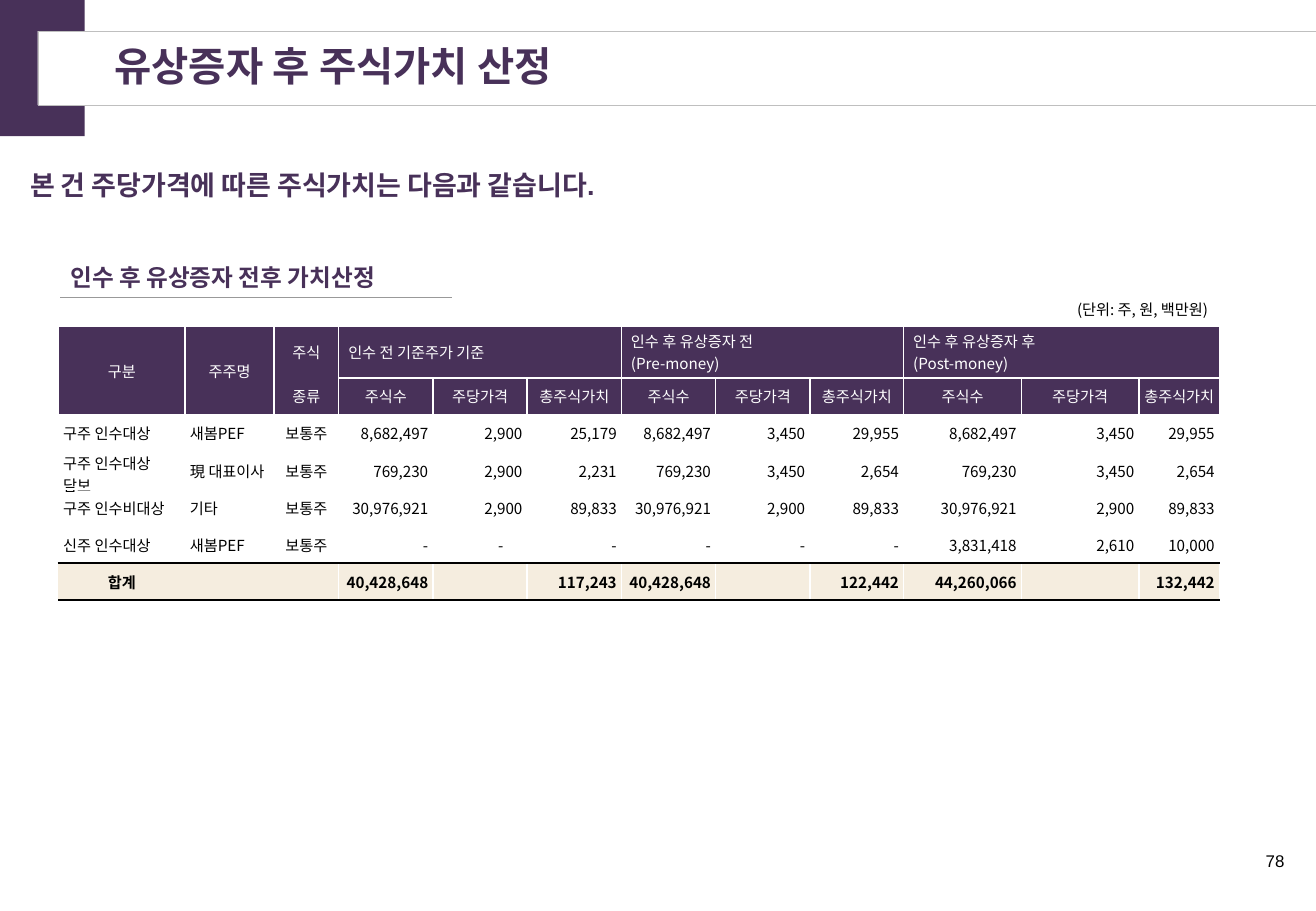
from lxml.etree import SubElement
from pptx import Presentation
from pptx.dml.color import RGBColor
from pptx.enum.shapes import MSO_CONNECTOR, MSO_SHAPE
from pptx.enum.text import MSO_ANCHOR, PP_ALIGN
from pptx.oxml.ns import qn
from pptx.util import Cm, Pt

COLORS = {"purple": "483159", "white": "FFFFFF", "black": "000000",
          "cream": "F5EDDF", "frame": "BFBFBF", "rule": "999999"}
KOREAN = "Noto Sans CJK KR"


def write(frame, text, size, color, name=KOREAN, bold=False, align=PP_ALIGN.LEFT,
          anchor=MSO_ANCHOR.MIDDLE):
    """Fill a text frame, one paragraph per line, in a single style."""
    frame.word_wrap = True
    frame.vertical_anchor = anchor
    frame.text = text
    for para in frame.paragraphs:
        para.alignment = align
        para.font.size, para.font.bold, para.font.name = Pt(size), bold, name
        para.font.color.rgb = RGBColor.from_string(COLORS[color])
        style = para._p.pPr.find(qn("a:defRPr"))
        SubElement(style, qn("a:ea"), typeface=KOREAN)
        if not text:
            SubElement(para._p, qn("a:endParaRPr"), sz=str(size * 100))


def add_border(cell, side, color):
    """Draw one cell edge; no colour means no line."""
    line = SubElement(cell._tc.get_or_add_tcPr(), qn("a:ln" + side), w=str(Pt(1)))
    if color:
        fill = SubElement(line, qn("a:solidFill"))
        SubElement(fill, qn("a:srgbClr"), val=COLORS[color])
    else:
        SubElement(line, qn("a:noFill"))


deck = Presentation()
deck.slide_width, deck.slide_height = Cm(27.51), Cm(19.05)
page = deck.slides.add_slide(deck.slide_layouts[6])

# Title band with its corner block
corner = page.shapes.add_shape(MSO_SHAPE.RECTANGLE, 0, 0, Cm(1.77), Cm(2.85))
band = page.shapes.add_shape(MSO_SHAPE.RECTANGLE, Cm(0.79), Cm(0.65), Cm(26.72), Cm(1.55))
for shape, color in ((corner, "purple"), (band, "white")):
    shape.shadow.inherit = False
    shape.fill.solid()
    shape.fill.fore_color.rgb = RGBColor.from_string(COLORS[color])
corner.line.fill.background()
band.line.color.rgb = RGBColor.from_string(COLORS["frame"])
band.line.width = Pt(0.25)
title = band.text_frame
title.margin_left, title.margin_top, title.margin_bottom = Cm(1.6), 0, 0
write(title, "유상증자 후 주식가치 산정", 24, "purple", bold=True)
title.paragraphs[0].line_spacing = 0.9

# Message, table heading, unit note and page number
texts = [
    (0.38, 3.33, 26.72, 1.55, "본 건 주당가격에 따른 주식가치는 다음과 같습니다.",
     16, "purple", "Arial", True, PP_ALIGN.LEFT, MSO_ANCHOR.TOP),
    (1.27, 5.44, 8.18, 0.71, "인수 후 유상증자 전후 가치산정",
     14, "purple", "Arial", True, PP_ALIGN.LEFT, MSO_ANCHOR.MIDDLE),
    (21.26, 6.15, 4.24, 0.64, "(단위: 주, 원, 백만원)",
     9, "black", KOREAN, False, PP_ALIGN.RIGHT, MSO_ANCHOR.TOP),
    (24.56, 17.66, 2.54, 0.69, "78",
     10, "black", "Arial", False, PP_ALIGN.RIGHT, MSO_ANCHOR.TOP),
]
for left, top, width, height, *content in texts:
    box = page.shapes.add_textbox(Cm(left), Cm(top), Cm(width), Cm(height))
    box.text_frame.margin_left = Cm(0.2 if left == 1.27 else 0.25)
    write(box.text_frame, *content)
    if left == 0.38:
        box.text_frame.paragraphs[0].line_spacing = 1.1

underline = page.shapes.add_connector(MSO_CONNECTOR.STRAIGHT, Cm(1.26), Cm(6.22), Cm(9.45), Cm(6.22))
underline.line.color.rgb = RGBColor.from_string(COLORS["rule"])
underline.line.width = Pt(0.75)
SubElement(underline._element.spPr, qn("a:effectLst"))

# Share value table
measures = ["주식수", "주당가격", "총주식가치"]
rows = [
    ["구분", "주주명", "주식", "인수 전 기준주가 기준", "", "",
     "인수 후 유상증자 전\n(Pre-money)", "", "", "인수 후 유상증자 후\n(Post-money)", "", ""],
    ["", "", "종류"] + measures * 3,
    ["구주 인수대상", "새봄PEF", "보통주", "8,682,497", "2,900", "25,179",
     "8,682,497", "3,450", "29,955", "8,682,497", "3,450", "29,955"],
    ["구주 인수대상 담보", "現 대표이사", "보통주", "769,230", "2,900", "2,231",
     "769,230", "3,450", "2,654", "769,230", "3,450", "2,654"],
    ["구주 인수비대상", "기타", "보통주", "30,976,921", "2,900", "89,833",
     "30,976,921", "2,900", "89,833", "30,976,921", "2,900", "89,833"],
    ["신주 인수대상", "새봄PEF", "보통주", "-", "-", "-", "-", "-", "-",
     "3,831,418", "2,610", "10,000"],
    ["합계", "", "", "40,428,648", "", "117,243", "40,428,648", "", "122,442",
     "44,260,066", "", "132,442"],
]
widths = [2.65, 1.86, 1.35] + [1.97] * 5 + [1.96, 2.46, 2.46, 1.68]
heights = [1.07] + [0.775] * 6
total = len(rows) - 1
table = page.shapes.add_table(len(rows), len(widths), Cm(1.22), Cm(6.83),
                              Cm(sum(widths)), Cm(sum(heights))).table
table.first_row = table.horz_banding = False
for column, width in zip(table.columns, widths):
    column.width = Cm(width)
for row, height in zip(table.rows, heights):
    row.height = Cm(height)

for r, values in enumerate(rows):
    for c, value in enumerate(values):
        cell = table.cell(r, c)
        cell.margin_left = cell.margin_right = Cm(0.1)
        cell.margin_top = cell.margin_bottom = 0
        group_title = r == 0 and c >= 3
        if group_title:
            cell.margin_left = Cm(0.2)
        if r == 5 and c == 4:
            cell.margin_right = Cm(0.5)

        # Text
        if group_title or (1 < r < total and c < 2):
            align = PP_ALIGN.LEFT
        elif r < 2 or c < 3:
            align = PP_ALIGN.CENTER
        else:
            align = PP_ALIGN.RIGHT
        write(cell.text_frame, value, 9, "white" if r < 2 else "black",
              bold=r == total, align=align)
        cell.vertical_anchor = MSO_ANCHOR.MIDDLE

        # Borders: open inside group titles, the total label and the split heading
        open_left = (group_title and c % 3 != 0) or (r == total and c < 3)
        open_right = (group_title and c % 3 != 2) or (r == total and c < 2)
        add_border(cell, "L", None if open_left else "white")
        add_border(cell, "R", None if open_right else "white")
        add_border(cell, "T", "black" if r == total else None if (r, c) == (1, 2) else "white")
        add_border(cell, "B", "black" if r >= total - 1 else None if (r, c) == (0, 2) else "white")

        # Fill
        if 1 < r < total:
            cell.fill.background()
        else:
            cell.fill.solid()
            cell.fill.fore_color.rgb = RGBColor.from_string(COLORS["purple" if r < 2 else "cream"])

for c in (0, 1):
    table.cell(0, c).merge(table.cell(1, c))
for c in (3, 6, 9):
    table.cell(0, c).merge(table.cell(0, c + 1))

deck.save("out.pptx")
